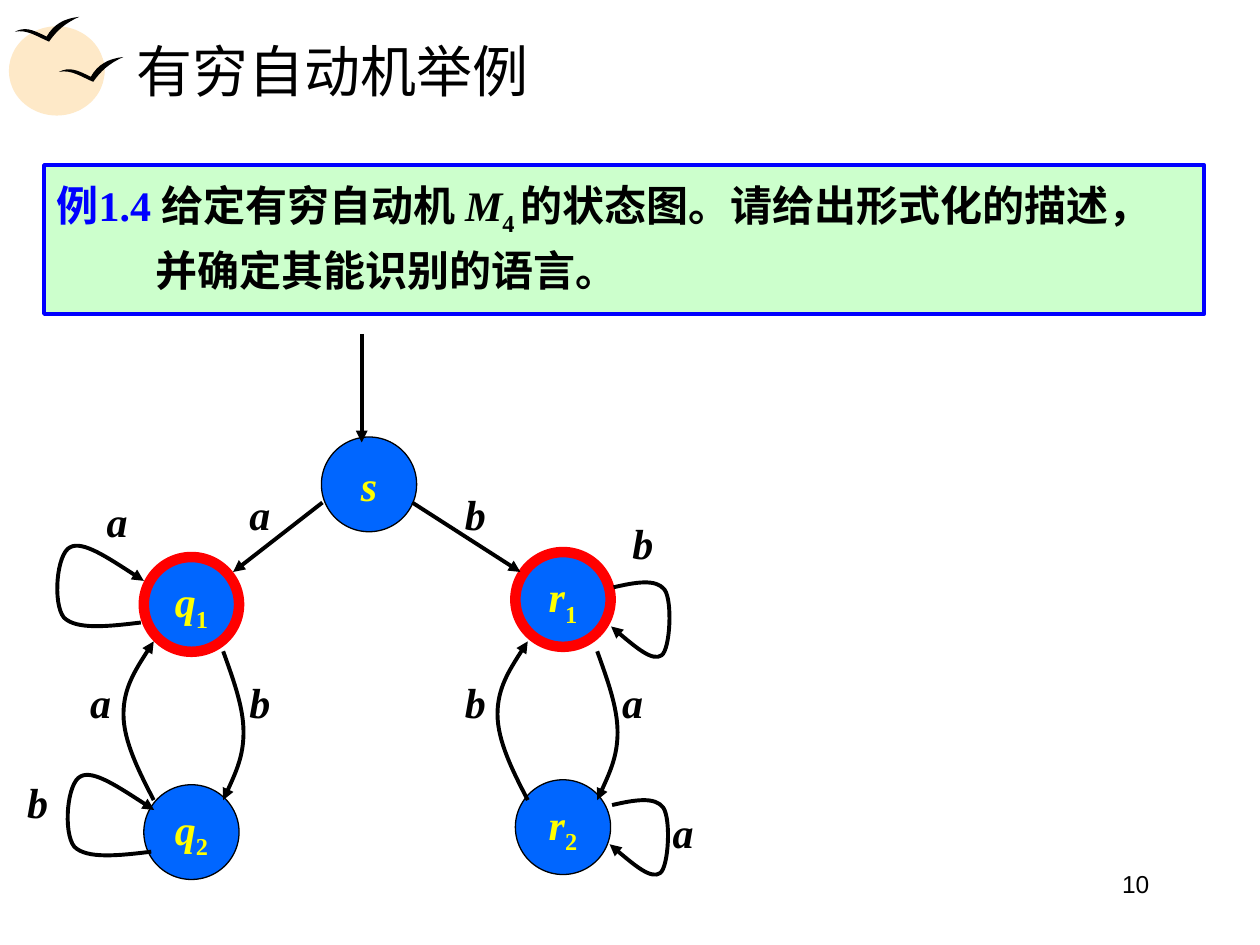
from pptx import Presentation
from pptx.dml.color import RGBColor
from pptx.enum.shapes import MSO_CONNECTOR, MSO_SHAPE
from pptx.enum.text import MSO_ANCHOR, PP_ALIGN
from pptx.oxml import parse_xml
from pptx.oxml.ns import nsdecls, qn
from pptx.oxml.xmlchemy import OxmlElement
from pptx.util import Cm, Pt

SERIF = "Times New Roman"
rgb = RGBColor.from_string


def style(shape, fill=None, line=None, width=0):
    """Set fill and outline; None means none."""
    shape.shadow.inherit = False
    if fill:
        shape.fill.solid()
        shape.fill.fore_color.rgb = rgb(fill)
    else:
        shape.fill.background()
    if line:
        shape.line.color.rgb = rgb(line)
        shape.line.width = Pt(width)
    else:
        shape.line.fill.background()


def add_curve(x, y, offsets, close=False):
    """Draw cubic Bezier segments from (x, y), three offsets to a segment."""
    fb = s.shapes.build_freeform(Cm(x), Cm(y))
    fb.add_line_segments([(Cm(x + dx), Cm(y + dy)) for dx, dy in offsets], close=close)
    shape = fb.convert_to_shape()
    path = shape._element.find(".//" + qn("a:path"))
    lines = path.findall(qn("a:lnTo"))
    for i in range(0, len(lines), 3):
        bezier = OxmlElement("a:cubicBezTo")
        lines[i].addprevious(bezier)
        for ln in lines[i:i + 3]:
            bezier.append(ln[0])
            path.remove(ln)
    return shape


prs = Presentation()
prs.slide_width, prs.slide_height = Cm(25.4), Cm(19.05)
s = prs.slides.add_slide(prs.slide_layouts[5])

# Sun and birds
for x, y, w, h in [(0.18, 0.53, 1.93, 1.8), (0.51, 0.71, 1.6, 1.4)]:
    sun = s.shapes.add_shape(MSO_SHAPE.OVAL, Cm(x), Cm(y), Cm(w), Cm(h))
    style(sun, "FEE9C8")
BIRD = [(0.2, -0.1), (0.35, -0.05), (0.64, 0.1),
        (0.78, -0.15), (1, -0.27), (1.3, -0.3),
        (1, -0.17), (0.83, 0), (0.69, 0.2),
        (0.45, 0.1), (0.25, -0.05), (0, 0)]
for x, y in [(1.19, 1.45), (0.3, 0.64)]:
    style(add_curve(x, y, BIRD, close=True), "000000")

# Title
title = s.shapes.title
title.left, title.top, title.width, title.height = Cm(2.49), Cm(0.53), Cm(21.67), Cm(1.75)
tf = title.text_frame
tf.text = "有穷自动机举例"
tf.vertical_anchor = MSO_ANCHOR.MIDDLE
p = tf.paragraphs[0]
p.alignment = PP_ALIGN.LEFT
p.font.name, p.font.size, p.font.color.rgb = SERIF, Pt(32), rgb("000000")

# Problem statement
box = s.shapes.add_shape(MSO_SHAPE.RECTANGLE, Cm(0.89), Cm(3.33), Cm(23.39), Cm(3))
style(box, "CCFFCC", "0000FF", 2.25)
tf = box.text_frame
tf.word_wrap = True
tf.vertical_anchor = MSO_ANCHOR.TOP
p = tf.paragraphs[0]
p.alignment, p.line_spacing = PP_ALIGN.LEFT, 1.15
pPr = p._p.get_or_add_pPr()
pPr.set("marL", str(Cm(2)))
pPr.set("indent", str(-Cm(2)))
p.font.name, p.font.size, p.font.bold = SERIF, Pt(24), True
for text, color, italic, sub in [
    ("例1.4 ", "0000FF", False, False),
    ("给定有穷自动机 ", "000000", False, False),
    ("M", "000000", True, False),
    ("4 ", "000000", False, True),
    ("的状态图。请给出形式化的描述，并确定其能识别的语言。", "000000", False, False),
]:
    r = p.add_run()
    r.text = text
    r.font.color.rgb, r.font.italic = rgb(color), italic
    if sub:
        r._r.get_or_add_rPr().set("baseline", "-25000")

# States: name, index, left, top, accepting
for name, index, x, y, accepting in [
    ("s", "", 6.48, 8.81, False),
    ("q", "1", 2.9, 11.23, True),
    ("q", "2", 2.9, 15.82, False),
    ("r", "1", 10.39, 11.13, True),
    ("r", "2", 10.39, 15.72, False),
]:
    state = s.shapes.add_shape(MSO_SHAPE.OVAL, Cm(x), Cm(y), Cm(1.92), Cm(1.91))
    style(state, "0066FF", *(("FF0000", 6) if accepting else ("000000", 0.75)))
    tf = state.text_frame
    tf.word_wrap = False
    tf.vertical_anchor = MSO_ANCHOR.MIDDLE
    p = tf.paragraphs[0]
    p.alignment = PP_ALIGN.CENTER
    p.font.name, p.font.size, p.font.bold = SERIF, Pt(24), True
    p.font.color.rgb = rgb("FFFF00")
    r = p.add_run()
    r.text, r.font.italic = name, True
    if index:
        r = p.add_run()
        r.text, r.font.italic = index, False
        r._r.get_or_add_rPr().set("baseline", "-25000")

# Transitions
UP = [(-0.3, -0.58), (-0.61, -1.19), (-0.61, -1.73),
      (-0.61, -2.26), (-0.3, -2.74), (0, -3.2)]
DOWN = [(0.2, 0.56), (0.41, 1.12), (0.41, 1.63),
        (0.41, 2.11), (0.2, 2.57), (0, 3)]
LEFT_LOOP = [(-0.66, 0.08), (-1.3, 0.15), (-1.55, -0.1),
             (-1.78, -0.38), (-1.7, -1.4), (-1.42, -1.52),
             (-1.17, -1.65), (-0.56, -1.24), (0.06, -0.84)]
RIGHT_LOOP = [(0.43, -0.1), (0.86, -0.18), (1.03, 0.05),
              (1.19, 0.28), (1.14, 1.24), (0.97, 1.37),
              (0.79, 1.5), (0.36, 1.14), (-0.05, 0.79)]
arrows = []
for x, y, offsets in [
    (3.1, 16.13, UP), (10.64, 16.13, UP),
    (4.5, 13.13, DOWN), (12.04, 13.13, DOWN),
    (2.84, 12.55, LEFT_LOOP), (3.05, 17.17, LEFT_LOOP),
    (12.37, 11.84, RIGHT_LOOP), (12.34, 16.23, RIGHT_LOOP),
]:
    curve = add_curve(x, y, offsets)
    style(curve, None, "000000", 2.25)
    arrows.append(curve)
for ends in [(7.29, 6.73, 7.29, 8.92), (6.5, 10.13, 4.7, 11.53), (8.31, 10.13, 10.49, 11.53)]:
    line = s.shapes.add_connector(MSO_CONNECTOR.STRAIGHT, *map(Cm, ends))
    line.line.color.rgb, line.line.width = rgb("000000"), Pt(2.25)
    line._element.spPr.append(OxmlElement("a:effectLst"))
    arrows.append(line)
for arrow in arrows:
    ln = arrow.line._get_or_add_ln()
    ln.append(parse_xml(f'<a:tailEnd {nsdecls("a")} type="triangle"/>'))

# Transition labels
for text, x, y in [
    ("a", 4.78, 9.73), ("b", 9.12, 9.73),
    ("a", 1.9, 9.86), ("b", 12.5, 10.31),
    ("a", 1.57, 13.51), ("b", 4.78, 13.51),
    ("b", 9.12, 13.51), ("a", 12.29, 13.51),
    ("b", 0.3, 15.52), ("a", 13.31, 16.13),
]:
    label = s.shapes.add_textbox(Cm(x), Cm(y), Cm(0.91), Cm(1.27))
    tf = label.text_frame
    tf.word_wrap = False
    tf.text = text
    p = tf.paragraphs[0]
    p.alignment = PP_ALIGN.CENTER
    p.font.name, p.font.size, p.font.color.rgb = SERIF, Pt(24), rgb("000000")
    p.font.bold = p.font.italic = True

# Page number
tf = s.shapes.add_textbox(Cm(17.5), Cm(17.4), Cm(5.92), Cm(1.32)).text_frame
tf.word_wrap = True
tf.text = "10"
p = tf.paragraphs[0]
p.alignment = PP_ALIGN.RIGHT
p.font.name, p.font.size, p.font.color.rgb = "Arial", Pt(14), rgb("000000")

prs.save("out.pptx")
